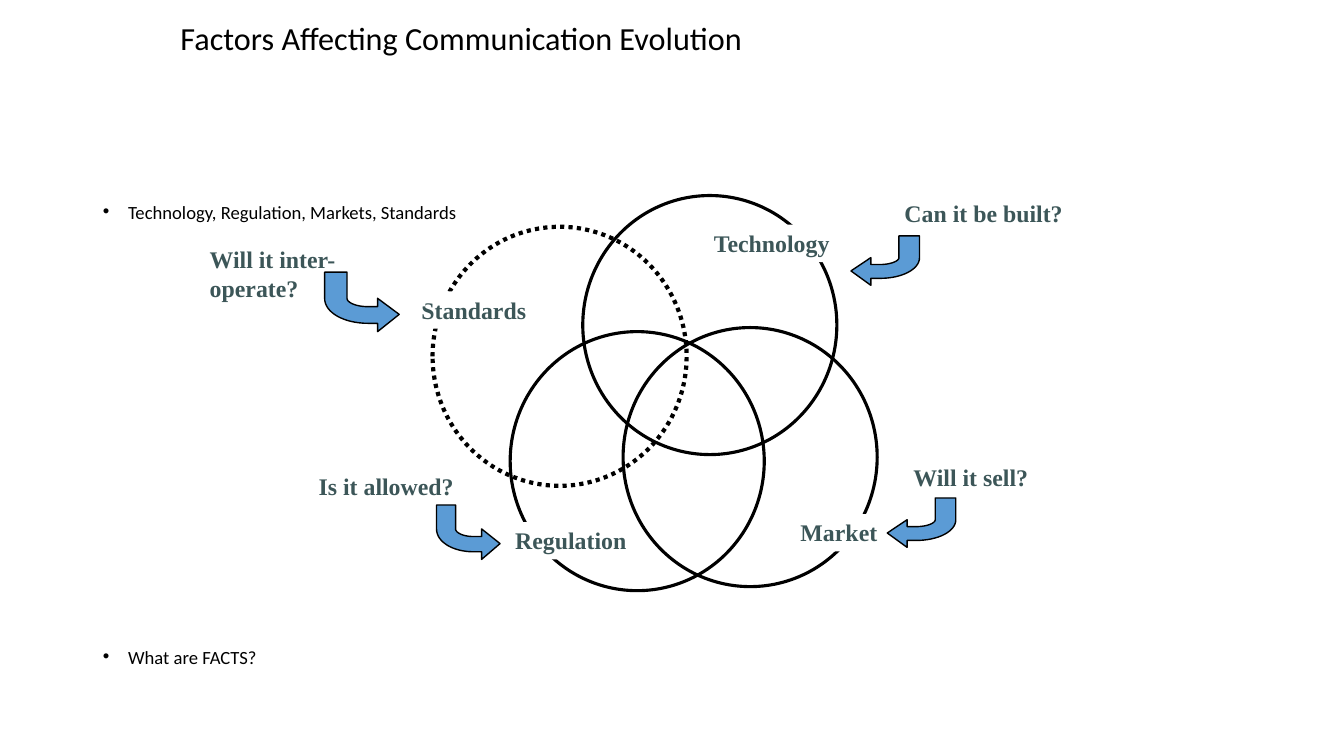
"""Build the slide on the factors affecting communication evolution."""
from dataclasses import dataclass

from pptx import Presentation
from pptx.dml.color import RGBColor
from pptx.enum.dml import MSO_LINE
from pptx.enum.shapes import MSO_SHAPE
from pptx.enum.text import MSO_ANCHOR, MSO_AUTO_SIZE, PP_ALIGN
from pptx.util import Inches, Pt

OVAL = MSO_SHAPE.OVAL
DOTTED = MSO_LINE.ROUND_DOT
MIDDLE, TOP = MSO_ANCHOR.MIDDLE, MSO_ANCHOR.TOP
LEFT = PP_ALIGN.LEFT
NO_FIT = MSO_AUTO_SIZE.NONE


@dataclass(frozen=True)
class Theme:
    """Colours, fonts and type sizes."""
    ink: RGBColor = RGBColor(0, 0, 0)
    paper: RGBColor = RGBColor(0xFF, 0xFF, 0xFF)
    label: RGBColor = RGBColor(0x3C, 0x56, 0x58)
    arrow: RGBColor = RGBColor(0x5B, 0x9B, 0xD5)
    sans: str = "Calibri"
    serif: str = "Times New Roman"
    title_size: float = 23
    body_size: float = 13.3
    label_size: float = 17


THEME = Theme()
TITLE = "Factors Affecting Communication Evolution"
TITLE_BOX = (1.69, 0.17, 8.02, 0.45)
BULLETS = [("Technology, Regulation, Markets, Standards", 0), ("What are FACTS?", 307)]
BODY_BOX = (0.92, 2, 11.5, 4.76)
CIRCLE_SIZE = (2.52, 2.57)
CIRCLES = [
    (5.78, 1.94, 2.25, None),
    (5.06, 3.29, 2.25, None),
    (6.18, 3.25, 2.25, None),
    (4.29, 2.25, 3, DOTTED),
]
LABELS = [
    ("Technology", (7, 2.23, 1.32, 0.37), False),
    ("Regulation", (5.03, 5.18, 1.28, 0.37), False),
    ("Market", (7.86, 5.1, 0.93, 0.37), False),
    ("Standards", (4.1, 2.89, 1.21, 0.37), False),
    ("Can it be built?", (8.89, 1.93, 2.22, 0.37), True),
    ("Will it sell?", (8.98, 4.55, 2.22, 0.37), True),
    ("Is it allowed?", (3.08, 4.64, 1.55, 0.37), True),
    ("Will it inter-operate?", (2, 2.39, 2.22, 0.65), True),
]
ARROWS = [
    ((3.22, 2.7, 0.74, 0.59), False),
    ((4.33, 5.01, 0.63, 0.54), False),
    ((8.44, 2.34, 0.68, 0.49), True),
    ((8.8, 4.94, 0.68, 0.49), True),
]
CURVE_STEPS = 16


def inches(box):
    """Convert a tuple of numbers to lengths."""
    return [Inches(v) for v in box]


def style(p, size, font, color, bold=False):
    """Format every run of a paragraph."""
    for r in p.runs:
        r.font.size, r.font.name, r.font.bold = Pt(size), font, bold
        r.font.color.rgb = color


def place(s, box):
    """Move a placeholder to a box."""
    s.left, s.top, s.width, s.height = inches(box)


def bezier(a, b, c, d):
    """Return points along a cubic curve, both ends included."""
    ts = [i / CURVE_STEPS for i in range(CURVE_STEPS + 1)]
    return [tuple((1 - t) ** 3 * a[k] + 3 * (1 - t) ** 2 * t * b[k]
                  + 3 * (1 - t) * t ** 2 * c[k] + t ** 3 * d[k] for k in (0, 1))
            for t in ts]


def arrow_outline():
    """Return a right-pointing bent arrow in a unit square."""
    outer = bezier((0.58, 0.86), (0.26, 0.86), (0, 0.68), (0, 0.44))
    inner = bezier((0.3, 0.44), (0.3, 0.51), (0.42, 0.58), (0.58, 0.58))
    return [(1, 0.71), (0.71, 1), (0.71, 0.86), *outer, (0, 0), (0.3, 0),
            *inner, (0.71, 0.58), (0.71, 0.44)]


def add_titles(slide):
    """Fill the title and body placeholders."""
    title, body = slide.shapes.title, slide.placeholders[1]
    place(title, TITLE_BOX)
    place(body, BODY_BOX)
    tf = title.text_frame
    tf.text, tf.vertical_anchor, tf.auto_size = TITLE, MIDDLE, NO_FIT
    p = tf.paragraphs[0]
    p.alignment, p.line_spacing = LEFT, 0.9
    style(p, THEME.title_size, THEME.sans, THEME.ink)
    tf = body.text_frame
    tf.text = "\n".join(text for text, _ in BULLETS)
    tf.vertical_anchor, tf.auto_size = TOP, NO_FIT
    for p, (_, gap) in zip(tf.paragraphs, BULLETS):
        p.line_spacing, p.space_before = 0.7, Pt(gap)
        pPr = p._p.get_or_add_pPr()
        pPr.set("marL", str(Inches(0.25)))
        pPr.set("indent", str(Inches(-0.25)))
        style(p, THEME.body_size, THEME.sans, THEME.ink)


def add_circle(slide, left, top, weight, dash):
    """Draw one open circle."""
    s = slide.shapes.add_shape(OVAL, *inches((left, top, *CIRCLE_SIZE)))
    s.shadow.inherit = False
    s.fill.background()
    s.line.color.rgb, s.line.width = THEME.ink, Pt(weight)
    if dash:
        s.line.dash_style = dash


def add_label(slide, text, box, wrap):
    """Write one label on a plain ground."""
    s = slide.shapes.add_textbox(*inches(box))
    s.fill.solid()
    s.fill.fore_color.rgb = THEME.paper
    tf = s.text_frame
    tf.text, tf.word_wrap = text, wrap
    tf.margin_left = tf.margin_right = Inches(0.08)
    tf.margin_top = tf.margin_bottom = Inches(0.04)
    style(tf.paragraphs[0], THEME.label_size, THEME.serif, THEME.label, True)


def add_arrow(slide, box, mirrored):
    """Draw one bent arrow."""
    left, top, width, height = inches(box)
    points = [(left + width * (1 - x if mirrored else x), top + height * y)
              for x, y in arrow_outline()]
    builder = slide.shapes.build_freeform(*points[0])
    builder.add_line_segments(points[1:], close=True)
    s = builder.convert_to_shape()
    s.shadow.inherit = False
    s.fill.solid()
    s.fill.fore_color.rgb = THEME.arrow
    s.line.color.rgb, s.line.width = THEME.ink, Pt(1)


def main():
    """Build and save the slide."""
    prs = Presentation()
    prs.slide_width, prs.slide_height = Inches(13.33), Inches(7.5)
    slide = prs.slides.add_slide(prs.slide_layouts[1])
    add_titles(slide)
    for circle in CIRCLES:
        add_circle(slide, *circle)
    for label in LABELS:
        add_label(slide, *label)
    for arrow in ARROWS:
        add_arrow(slide, *arrow)
    prs.save("out.pptx")


if __name__ == "__main__":
    main()
